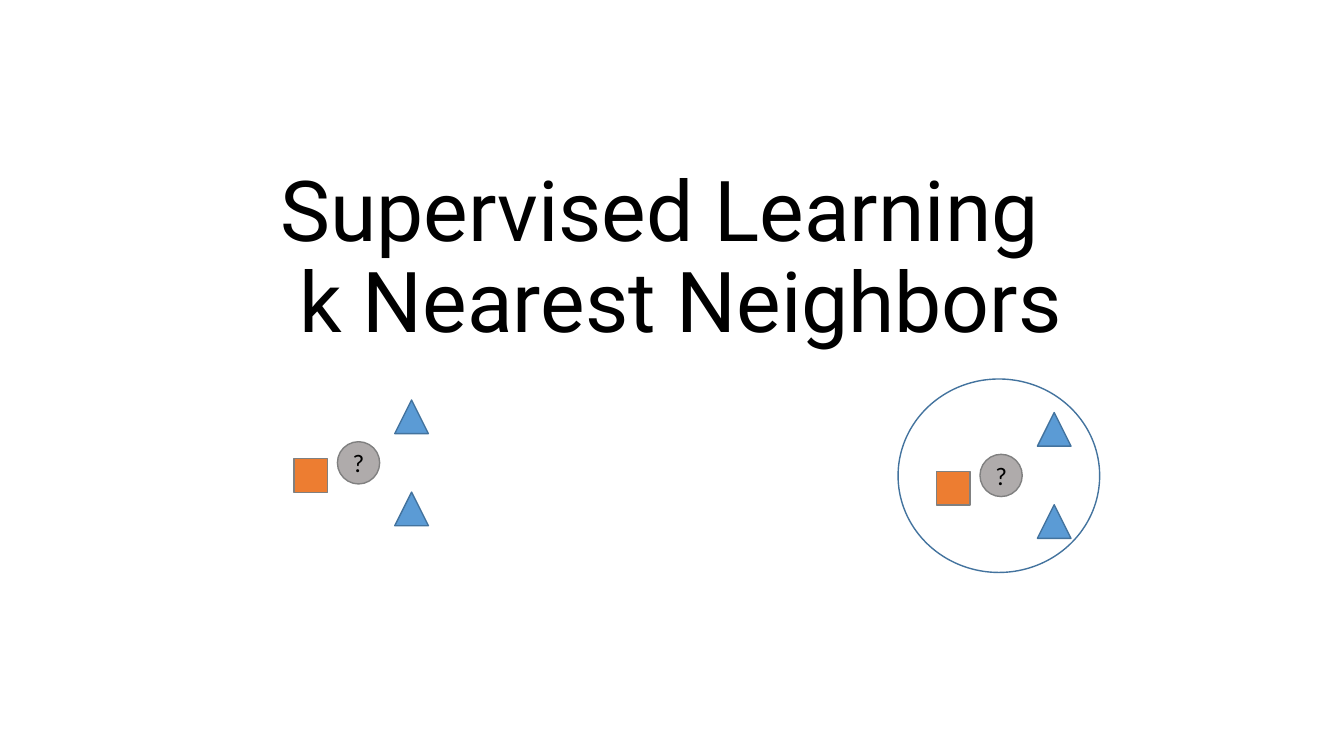
from pptx import Presentation
from pptx.dml.color import RGBColor
from pptx.enum.shapes import MSO_SHAPE
from pptx.enum.text import MSO_ANCHOR, PP_ALIGN
from pptx.util import Pt

COLORS = {
    "text": "000000",
    "triangle": "5B9BD5",
    "outline": "43739E",
    "square": "ED7D31",
    "query": "AFABAB",
    "edge": "808080",
}
MARKER = 24
QUERY = 30.2


def color(name):
    """Return the palette colour with the given name."""
    return RGBColor.from_string(COLORS[name])


def add_run(p, text, font, size):
    """Append a black run to a paragraph."""
    r = p.add_run()
    r.text = text
    r.font.name = font
    r.font.size = Pt(size)
    r.font.color.rgb = color("text")


def add_title(slide, lines, x, y, w, h):
    """Place the centred title, resting on the bottom of its box."""
    tf = slide.shapes.add_textbox(Pt(x), Pt(y), Pt(w), Pt(h)).text_frame
    tf.word_wrap = True
    tf.vertical_anchor = MSO_ANCHOR.BOTTOM
    p = tf.paragraphs[0]
    p.alignment = PP_ALIGN.CENTER
    p.line_spacing = 0.9
    for i, line in enumerate(lines):
        if i:
            p.add_line_break()
        add_run(p, line, "Roboto", 60)


def add_marker(group, kind, x, y, w, h, fill, line):
    """Add one outlined shape to a group, hollow when fill is None."""
    s = group.shapes.add_shape(kind, Pt(x), Pt(y), Pt(w), Pt(h))
    s.shadow.inherit = False
    if fill:
        s.fill.solid()
        s.fill.fore_color.rgb = color(fill)
    else:
        s.fill.background()
    s.line.color.rgb = color(line)
    s.line.width = Pt(1)
    return s


def add_neighbors(slide, x, y, circled=False):
    """Place the query point and its three neighbors from a top left corner."""
    group = slide.shapes.add_group_shape()
    for dy in (65.8, 0):
        add_marker(group, MSO_SHAPE.ISOSCELES_TRIANGLE, x + 72, y + dy,
                   MARKER, MARKER, "triangle", "outline")
    add_marker(group, MSO_SHAPE.RECTANGLE, x, y + 42, MARKER, MARKER, "square", "edge")
    s = add_marker(group, MSO_SHAPE.OVAL, x + 31, y + 29.8, QUERY, QUERY, "query", "edge")
    tf = s.text_frame
    tf.margin_left = tf.margin_right = tf.margin_top = tf.margin_bottom = 0
    tf.vertical_anchor = MSO_ANCHOR.MIDDLE
    p = tf.paragraphs[0]
    p.alignment = PP_ALIGN.CENTER
    add_run(p, "?", "Calibri", 18)
    if circled:
        add_marker(group, MSO_SHAPE.OVAL, x - 27.5, y - 24, 144, 138.2, None, "outline")


def main():
    """Build the slide and save it."""
    prs = Presentation()
    prs.slide_width, prs.slide_height = Pt(960), Pt(540)
    slide = prs.slides.add_slide(prs.slide_layouts[6])
    add_title(slide, ["Supervised Learning ", " k Nearest Neighbors"], 118.8, 66.2, 720, 188)
    add_neighbors(slide, 210, 285.7)
    add_neighbors(slide, 669, 294.7, circled=True)
    prs.save("out.pptx")


if __name__ == "__main__":
    main()
